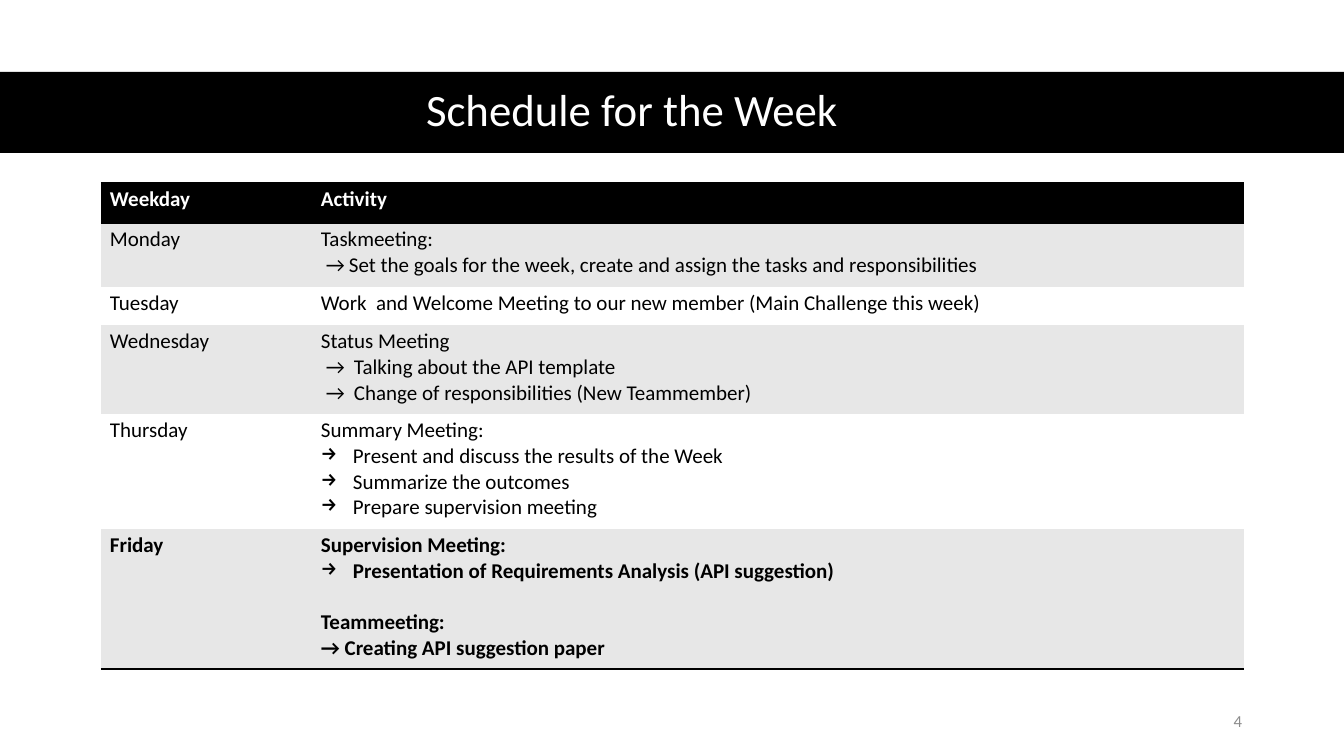
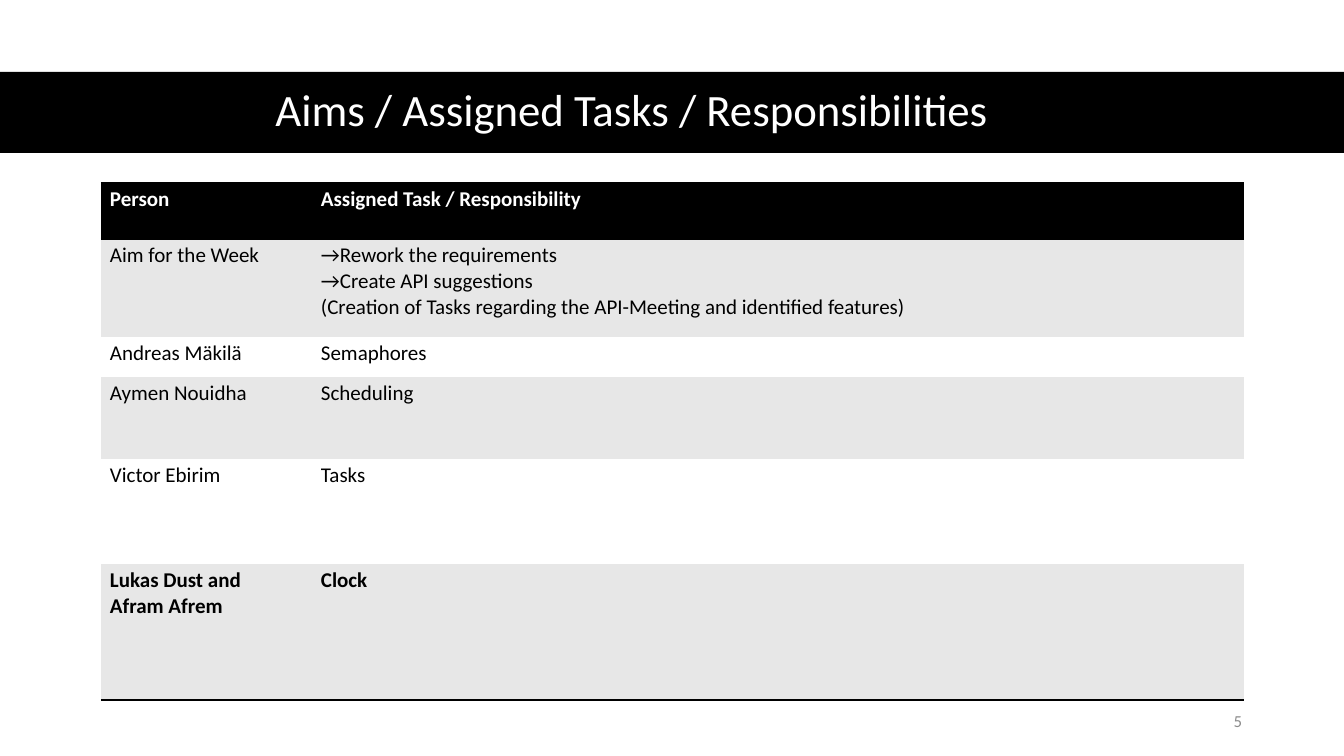
from dataclasses import dataclass

from lxml import etree
from pptx import Presentation
from pptx.dml.color import RGBColor
from pptx.enum.shapes import MSO_SHAPE
from pptx.enum.text import MSO_ANCHOR, PP_ALIGN
from pptx.oxml.ns import qn
from pptx.util import Emu, Pt

RECT = MSO_SHAPE.RECTANGLE
MIDDLE = MSO_ANCHOR.MIDDLE
TOP = MSO_ANCHOR.TOP
CENTER = PP_ALIGN.CENTER
RIGHT = PP_ALIGN.RIGHT
LEFT = PP_ALIGN.LEFT

WIDE, HIGH = 1344, 756
SCALE = 12192000 / WIDE
PLAIN = "{2D5ABB26-0587-4C30-8999-92F81FD0307C}"


def px(count):
    return Emu(round(count * SCALE))


def color(code):
    return RGBColor.from_string(code)


@dataclass
class Line:
    text: str
    left: int = 0
    hang: int = 0
    mark: str = ""
    gap: int = 0


def point(text):
    return Line(text, 32, 32, "→")


class Deck:
    font = "Calibri"
    black = "000000"
    white = "FFFFFF"
    band = "E7E7E7"
    gray = "8C8C8C"

    def __init__(self):
        self.show = Presentation()
        self.show.slide_width = px(WIDE)
        self.show.slide_height = px(HIGH)
        self.slide = None

    def page(self, title, number):
        self.slide = self.show.slides.add_slide(self.show.slide_layouts[6])
        self.bar(0, 72, WIDE, 81)
        head = self.label(title, 62, 71, 1140, 82, 32, self.white, CENTER)
        head.line_spacing = 0.9
        self.label(number, 950, 701, 302, 40, 12, self.gray, RIGHT)

    def bar(self, x, y, w, h):
        bar = self.slide.shapes.add_shape(RECT, px(x), px(y), px(w), px(h))
        bar.shadow.inherit = False
        bar.fill.solid()
        bar.fill.fore_color.rgb = color(self.black)
        bar.line.fill.background()

    def style(self, para, size, tint, align=LEFT, bold=False):
        para.alignment = align
        para.font.name = self.font
        para.font.size = Pt(size)
        para.font.bold = bold
        para.font.color.rgb = color(tint)

    def label(self, text, x, y, w, h, size, tint, align):
        box = self.slide.shapes.add_textbox(px(x), px(y), px(w), px(h))
        frame = box.text_frame
        frame.word_wrap = True
        frame.vertical_anchor = MIDDLE
        para = frame.paragraphs[0]
        para.text = text
        self.style(para, size, tint, align)
        return para

    def entry(self, para, line, tint, bold):
        para.text = line.text
        self.style(para, 15, tint, bold=bold)
        if line.gap:
            para.space_before = Pt(line.gap)
        props = para._p.get_or_add_pPr()
        if line.left:
            props.set("marL", str(px(line.left)))
            props.set("indent", str(px(-line.hang)))
        if line.mark:
            mark = etree.Element(qn("a:buChar"), char=line.mark)
            props.find(qn("a:defRPr")).addprevious(mark)

    def edge(self, cell, side):
        props = cell._tc.get_or_add_tcPr()
        line = etree.SubElement(props, qn("a:ln" + side), w=str(Pt(2)))
        fill = etree.SubElement(line, qn("a:solidFill"))
        etree.SubElement(fill, qn("a:srgbClr"), val=self.black)

    def cell(self, cell, lines, fill, tint, bold, sides):
        cell.margin_left = cell.margin_right = px(9)
        cell.margin_top = cell.margin_bottom = px(4)
        cell.vertical_anchor = TOP
        for side in sides:
            self.edge(cell, side)
        cell.fill.solid()
        cell.fill.fore_color.rgb = color(fill)
        frame = cell.text_frame
        for i, line in enumerate(lines):
            para = frame.add_paragraph() if i else frame.paragraphs[0]
            self.entry(para, line, tint, bold)

    def table(self, rows, highs):
        wides = [211, 932]
        shape = self.slide.shapes.add_table(
            len(rows), len(wides), px(101), px(183), px(sum(wides)), px(sum(highs)))
        table = shape.table
        table.first_row = table.horz_banding = False
        table._tbl.tblPr.find(qn("a:tableStyleId")).text = PLAIN
        for col, wide in zip(table.columns, wides):
            col.width = px(wide)
        last = len(rows) - 1
        for r, (row, high) in enumerate(zip(rows, highs)):
            table.rows[r].height = px(high)
            fill = self.black if r == 0 else self.band if r % 2 else self.white
            tint = self.white if r == 0 else self.black
            sides = "TB" if r == 0 else "B" if r == last else ""
            for c, item in enumerate(row):
                lines = [Line(item)] if isinstance(item, str) else item
                self.cell(table.cell(r, c), lines, fill, tint, r in (0, last), sides)

    def save(self):
        self.show.save("out.pptx")


WEEK = [
    ("Weekday", "Activity"),
    ("Monday", [
        Line("Taskmeeting:"),
        Line("→\tSet the goals for the week, create and assign the tasks and responsibilities",
             28, 23),
    ]),
    ("Tuesday", "Work  and Welcome Meeting to our new member (Main Challenge this week)"),
    ("Wednesday", [
        Line("Status Meeting"),
        Line("→\tTalking about the API template", 33, 28),
        Line("→\tChange of responsibilities (New Teammember)", 33, 28),
    ]),
    ("Thursday", [
        Line("Summary Meeting:"),
        point("Present and discuss the results of the Week"),
        point("Summarize the outcomes"),
        point("Prepare supervision meeting"),
    ]),
    ("Friday", [
        Line("Supervision Meeting:"),
        point("Presentation of Requirements Analysis (API suggestion)"),
        Line("Teammeeting:", gap=18),
        Line("→ Creating API suggestion paper"),
    ]),
]

TASKS = [
    ("Person", "Assigned Task / Responsibility"),
    ("Aim for the Week", [
        Line("→Rework the requirements"),
        Line("→Create API suggestions"),
        Line("(Creation of Tasks regarding the API-Meeting and identified features)"),
    ]),
    ("Andreas Mäkilä", "Semaphores"),
    ("Aymen Nouidha", "Scheduling"),
    ("Victor Ebirim", "Tasks"),
    ([Line("Lukas Dust and"), Line("Afram Afrem")], "Clock"),
]


def main():
    deck = Deck()
    deck.page("Schedule for the Week", "4")
    deck.table(WEEK, [40, 64, 38, 89, 115, 140])
    deck.page("Aims / Assigned Tasks / Responsibilities", "5")
    deck.table(TASKS, [56, 98, 40, 82, 105, 136])
    deck.save()


if __name__ == "__main__":
    main()
